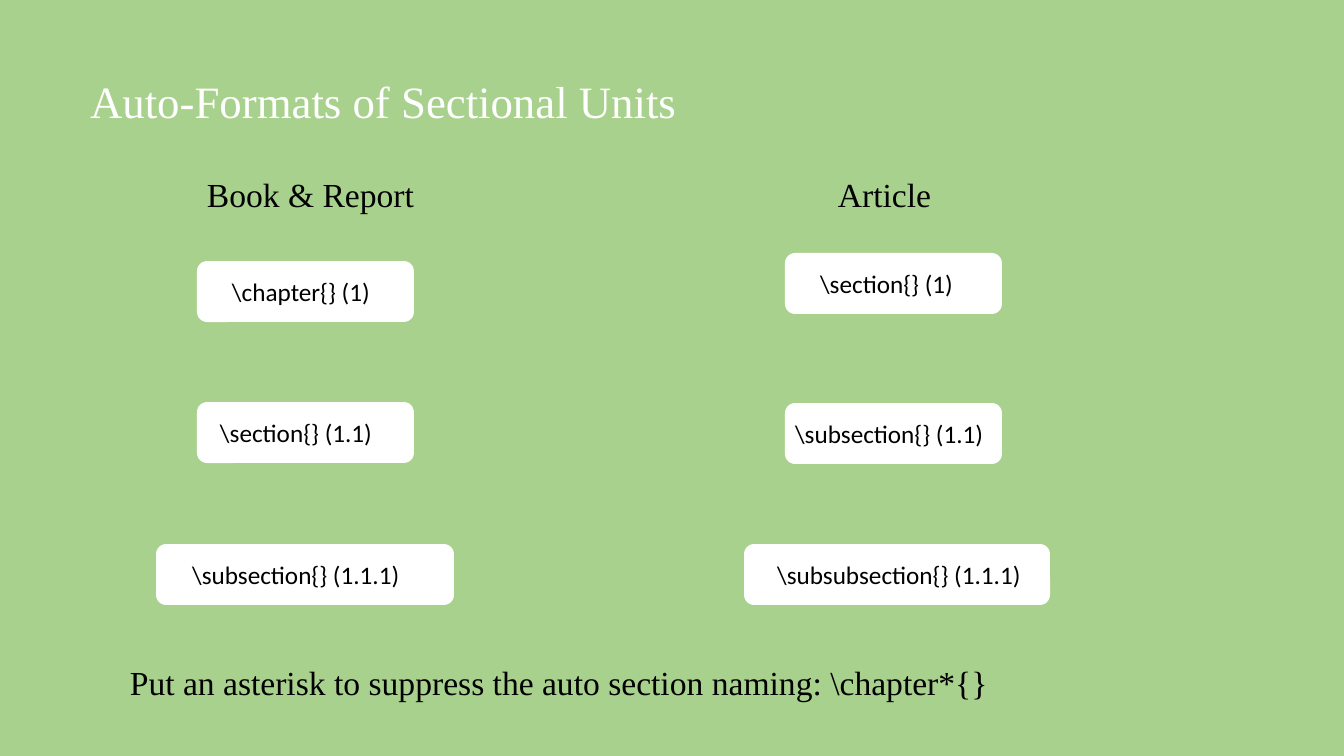
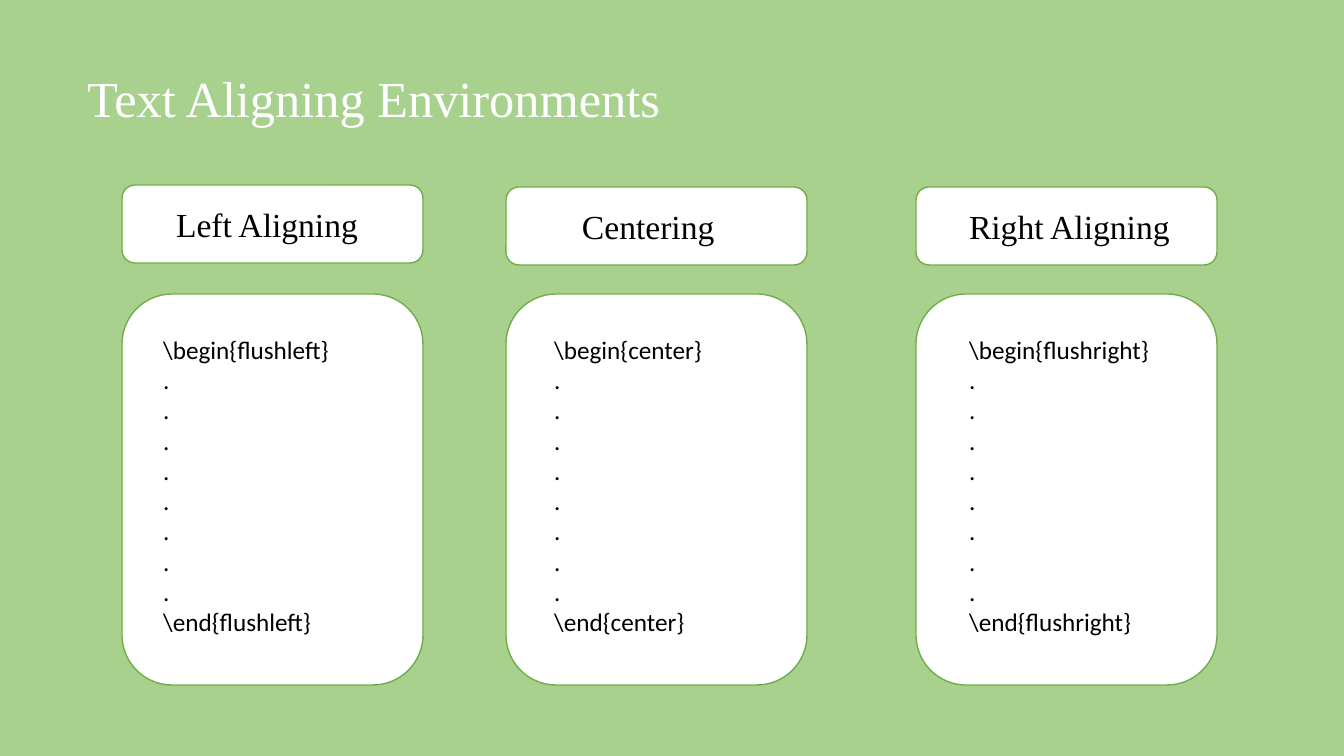
import pptx
import pptx.util
import pptx.dml.color
import pptx.enum.shapes
import pptx.enum.text

EMU_PER_PX = 914400 / 100.8
COLORS = {"background": "A9D18E", "panel": "FFFFFF", "outline": "70AD47",
          "title": "FFFFFF", "text": "000000"}
SERIF = "Times New Roman"
SANS = "Calibri"
CORNER = 0.16667        # corner radius as a share of the shorter side
CORNER_INSET = 0.29     # share of the radius that the text area gives up


def px(length):
    return pptx.util.Emu(round(length * EMU_PER_PX))


def rgb(name):
    return pptx.dml.color.RGBColor.from_string(COLORS[name])


def write(frame, lines, size, face, color="text"):
    """Fill a frame with left-aligned, vertically centred lines."""
    frame.word_wrap = True
    frame.auto_size = pptx.enum.text.MSO_AUTO_SIZE.NONE
    frame.vertical_anchor = pptx.enum.text.MSO_ANCHOR.MIDDLE
    for index, line in enumerate(lines):
        paragraph = frame.add_paragraph() if index else frame.paragraphs[0]
        paragraph.text = line
        paragraph.alignment = pptx.enum.text.PP_ALIGN.LEFT
        paragraph.font.size = pptx.util.Pt(size)
        paragraph.font.name = face
        paragraph.font.color.rgb = rgb(color)


def add_titled_slide(deck, title, box, size):
    slide = deck.slides.add_slide(deck.slide_layouts[5])
    heading = slide.shapes.title
    heading.left, heading.top, heading.width, heading.height = map(px, box)
    write(heading.text_frame, [title], size, SERIF, "title")
    return slide


def add_label(slide, text, box):
    label = slide.shapes.add_textbox(*map(px, box))
    write(label.text_frame, [text], 24, SERIF)


def add_panel(slide, lines, box, indent, size, face, outlined=False, lift=0):
    """Rounded panel whose text starts indent px from its left edge."""
    panel = slide.shapes.add_shape(
        pptx.enum.shapes.MSO_SHAPE.ROUNDED_RECTANGLE, *map(px, box))
    panel.shadow.inherit = False
    panel.fill.solid()
    panel.fill.fore_color.rgb = rgb("panel")
    if outlined:
        panel.line.color.rgb = rgb("outline")
        panel.line.width = pptx.util.Pt(1)
    else:
        panel.line.fill.background()
    frame = panel.text_frame
    frame.margin_left = px(indent - CORNER_INSET * CORNER * min(box[2:]))
    frame.margin_right = frame.margin_top = 0
    frame.margin_bottom = px(2 * lift)
    write(frame, lines, size, face)


def add_unit_column(slide, heading, heading_left, units):
    """Heading above a column of sectional units."""
    add_label(slide, heading, (heading_left, 169, 297, 50))
    for command, left, top, width, indent in units:
        add_panel(slide, [command], (left, top, width, 61), indent, 18, SANS)


def add_environment(slide, heading, name, left, top, heading_indent, code_indent):
    """Heading panel above a code panel for one environment."""
    add_panel(slide, [heading], (left, top, 301, 78), heading_indent, 24, SERIF,
              outlined=True)
    code = [f"\\begin{{{name}}}", *["."] * 8, f"\\end{{{name}}}"]
    add_panel(slide, code, (left, 294, 301, 391), code_indent, 18, SANS,
              outlined=True, lift=4)


def build_sectional_units(deck):
    slide = add_titled_slide(deck, "Auto-Formats of Sectional Units",
                             (80, 68, 703, 65), 32)
    # Command, left, top, width, text indent
    add_unit_column(slide, "Book & Report", 197, [
        (r"\chapter{} (1)", 197, 261, 217, 35),
        (r"\section{} (1.1)", 197, 402, 217, 23),
        (r"\subsection{} (1.1.1)", 156, 544, 298, 36),
    ])
    add_unit_column(slide, "Article", 828, [
        (r"\section{} (1)", 785, 253, 217, 35),
        (r"\subsection{} (1.1)", 785, 403, 217, 10),
        (r"\subsubsection{} (1.1.1)", 744, 544, 306, 33),
    ])
    add_label(slide,
              r"Put an asterisk to suppress the auto section naming: \chapter*{}",
              (120, 657, 1123, 50))


def build_alignment(deck):
    slide = add_titled_slide(deck, "Text Aligning Environments",
                             (77, 61, 1038, 72), 36)
    # Heading, environment, left, heading top, heading indent, code indent
    for environment in [
        ("Left Aligning", "flushleft", 122, 185, 54, 41),
        ("Centering", "center", 506, 187, 76, 48),
        ("Right Aligning", "flushright", 916, 187, 53, 53),
    ]:
        add_environment(slide, *environment)


def main():
    deck = pptx.Presentation()
    deck.slide_width, deck.slide_height = px(1344), px(756)
    backdrop = deck.slide_master.background.fill
    backdrop.solid()
    backdrop.fore_color.rgb = rgb("background")
    build_sectional_units(deck)
    build_alignment(deck)
    deck.save("out.pptx")


if __name__ == "__main__":
    main()
